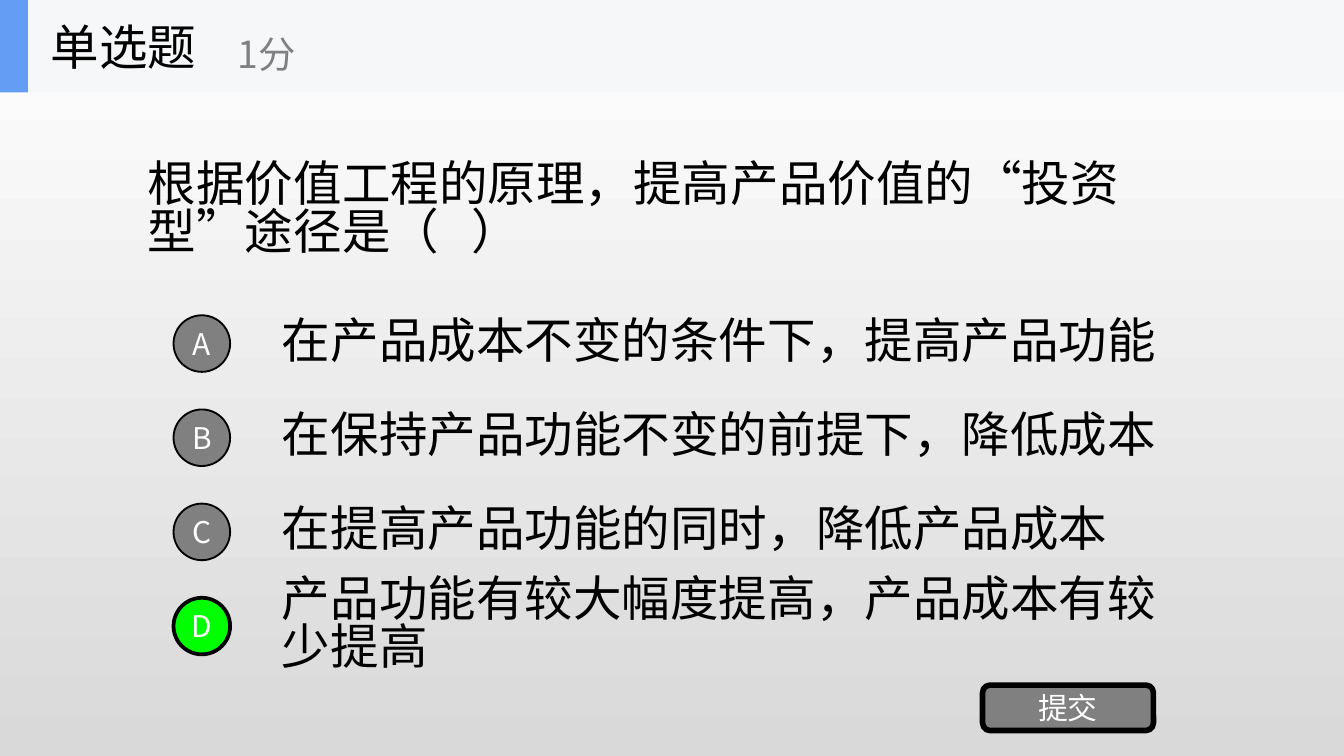
from pptx import Presentation
from pptx.dml.color import RGBColor
from pptx.enum.shapes import MSO_SHAPE
from pptx.enum.text import MSO_ANCHOR, MSO_AUTO_SIZE, PP_ALIGN
from pptx.oxml.ns import qn
from pptx.util import Cm, Pt
from lxml import etree

RECT, ROUNDED, OVAL = MSO_SHAPE.RECTANGLE, MSO_SHAPE.ROUNDED_RECTANGLE, MSO_SHAPE.OVAL
MIDDLE, NO_FIT = MSO_ANCHOR.MIDDLE, MSO_AUTO_SIZE.NONE
LEFT, CENTER = PP_ALIGN.LEFT, PP_ALIGN.CENTER

BLACK = RGBColor(0x00, 0x00, 0x00)
WHITE = RGBColor(0xFF, 0xFF, 0xFF)
GRAY = RGBColor(0x80, 0x80, 0x80)
GREEN = RGBColor(0x00, 0xFF, 0x00)
BLUE = RGBColor(0x63, 0x9E, 0xF4)
HEADER_GRAY = RGBColor(0xF6, 0xF7, 0xF8)
BACKDROP_END = RGBColor(0xD9, 0xD9, 0xD9)

FONT = "Noto Sans CJK SC"
TIGHT = 0.83
QUESTION = "根据价值工程的原理，提高产品价值的“投资型”途径是（   ）"
OPTIONS = [
    "在产品成本不变的条件下，提高产品功能",
    "在保持产品功能不变的前提下，降低成本",
    "在提高产品功能的同时，降低产品成本",
    "产品功能有较大幅度提高，产品成本有较少提高",
]
ANSWER = "D"


def write(shape, text, size=26, color=BLACK, align=LEFT, wrap=True, spacing=None, margin=None):
    frame = shape.text_frame
    frame.text = text
    frame.auto_size = NO_FIT
    frame.word_wrap = wrap
    frame.vertical_anchor = MIDDLE
    if margin is not None:
        frame.margin_left = frame.margin_right = margin
        frame.margin_top = frame.margin_bottom = margin
    paragraph = frame.paragraphs[0]
    paragraph.alignment = align
    paragraph.line_spacing = spacing
    font = paragraph.runs[0].font
    font.size, font.name = Pt(size), FONT
    font.color.rgb = color
    # East Asian glyphs need their own typeface entry
    etree.SubElement(font._element, qn("a:ea"), typeface=FONT)


def draw(shapes, kind, left, top, width, height, fill, line_width=0):
    shape = shapes.add_shape(kind, left, top, width, height)
    shape.shadow.inherit = False
    shape.fill.solid()
    shape.fill.fore_color.rgb = fill
    if line_width:
        shape.line.color.rgb = BLACK
        shape.line.width = Pt(line_width)
    else:
        shape.line.fill.background()
    return shape


def add_backdrop(slide):
    fill = slide.background.fill
    fill.gradient()
    fill.gradient_angle = 270
    for stop, color, position in zip(fill.gradient_stops, (WHITE, BACKDROP_END), (0, 1)):
        stop.color.rgb = color
        stop.position = position


def add_question(slide, left, top, width, height):
    question = slide.shapes.title
    question.left, question.top, question.width, question.height = left, top, width, height
    write(question, QUESTION, spacing=TIGHT)


def add_options(slide, left, top, width, row_height, pitch):
    badge_size, text_indent = Cm(1.07), Cm(1.8)
    for row, option in enumerate(OPTIONS):
        letter = "ABCD"[row]
        row_top = top + row * pitch
        chosen = letter == ANSWER
        option_text = slide.shapes.add_textbox(
            left + text_indent, row_top, width - text_indent, row_height)
        write(option_text, option, spacing=TIGHT)
        badge = draw(slide.shapes, OVAL, left, row_top + (row_height - badge_size) // 2,
                     badge_size, badge_size, GREEN if chosen else GRAY, 2 if chosen else 1)
        write(badge, letter, size=16, color=WHITE, align=CENTER, wrap=False, margin=0)


def add_submit_button(slide, left, top, width, height):
    button = draw(slide.shapes, ROUNDED, left, top, width, height, GRAY, 3)
    write(button, "提交", size=16, color=WHITE, align=CENTER, margin=0)


def add_header(slide, left, top, width, height):
    header = slide.shapes.add_group_shape().shapes
    draw(header, RECT, left, top, width, height, HEADER_GRAY)
    draw(header, RECT, left, top, Cm(0.53), height, BLUE)
    question_type = header.add_textbox(left + Cm(0.71), top, Cm(5.28), height)
    write(question_type, "单选题", wrap=False)
    score = header.add_textbox(left + Cm(4.24), top + Cm(0.3), Cm(6.35), Cm(1.42))
    write(score, "1分", size=20, color=GRAY, wrap=False)


def main():
    deck = Presentation()
    deck.slide_width, deck.slide_height = Cm(25.4), Cm(14.29)
    slide = deck.slides.add_slide(deck.slide_layouts[5])  # title only
    add_backdrop(slide)
    add_question(slide, Cm(2.54), Cm(1.75), Cm(20.32), Cm(4.47))
    add_options(slide, Cm(3.28), Cm(5.82), Cm(19.58), Cm(1.35), Cm(1.78))
    add_submit_button(slide, Cm(18.57), Cm(12.95), Cm(3.23), Cm(0.86))
    add_header(slide, 0, 0, deck.slide_width, Cm(1.75))
    deck.save("out.pptx")


if __name__ == "__main__":
    main()
